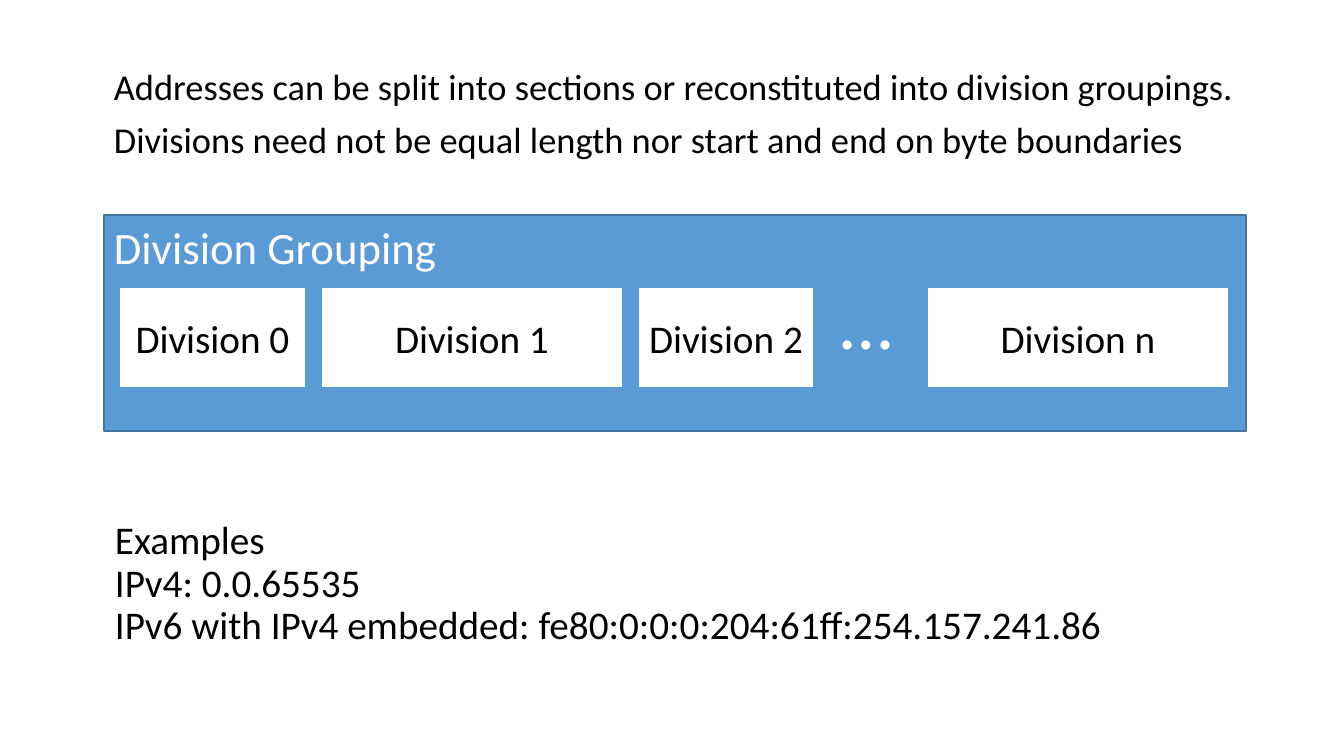
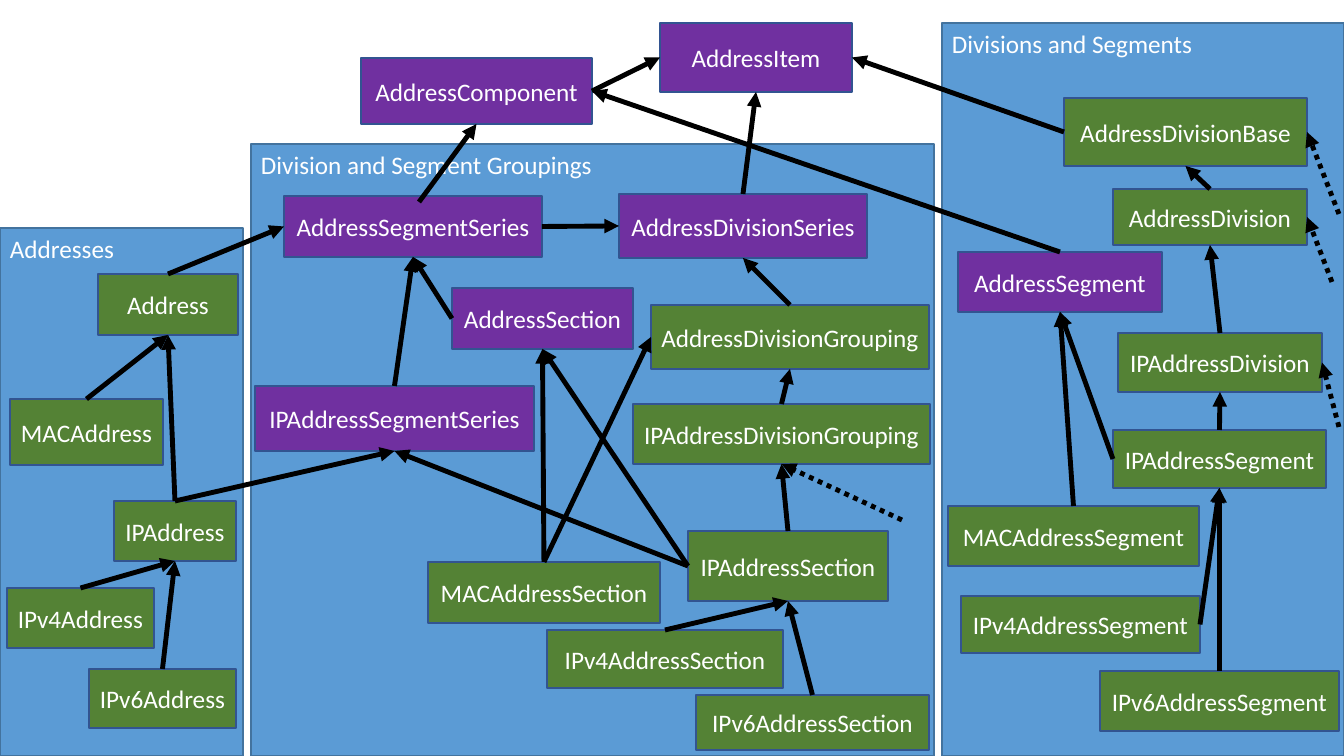
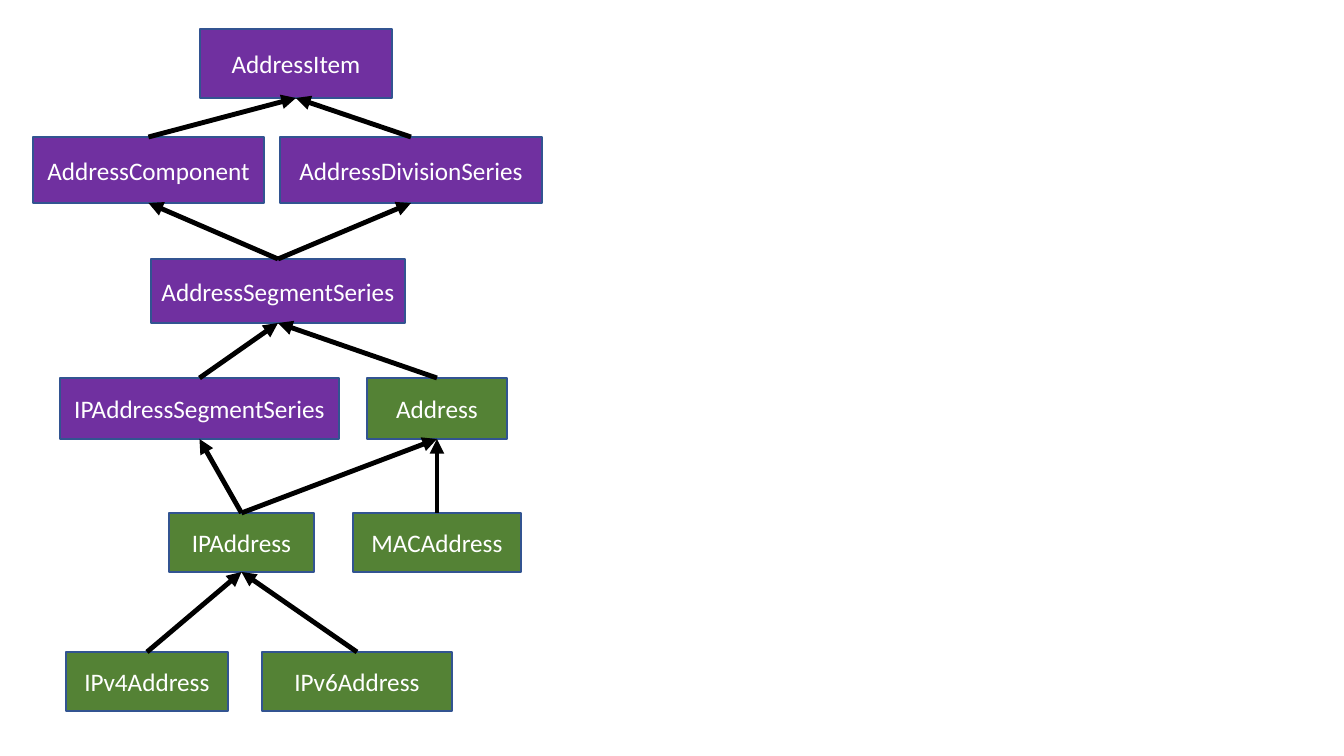
from lxml import etree
from pptx import Presentation
from pptx import util as u
from pptx.dml.color import RGBColor
from pptx.enum import dml, shapes, text
from pptx.oxml import ns

PX = 914400 / 100.8
FONT = "Calibri"
WHITE = RGBColor(0xFF, 0xFF, 0xFF)
BLACK = RGBColor(0x00, 0x00, 0x00)
BLUE = RGBColor(0x5B, 0x9B, 0xD5)
STEEL = RGBColor(0x43, 0x73, 0x9E)
NAVY = RGBColor(0x32, 0x54, 0x91)
PURPLE = RGBColor(0x70, 0x30, 0xA0)
GREEN = RGBColor(0x54, 0x82, 0x35)

LEFT, CENTER = text.PP_ALIGN.LEFT, text.PP_ALIGN.CENTER
TOP, MIDDLE = text.MSO_ANCHOR.TOP, text.MSO_ANCHOR.MIDDLE
SIDES = "tlbr"
FACES = {"AddressItem", "AddressComponent", "AddressSegment", "AddressSection",
         "AddressDivisionSeries", "AddressSegmentSeries", "IPAddressSegmentSeries"}


def px(*vals):
    """Turn pixels into EMU."""
    return [u.Emu(round(val * PX)) for val in vals]


def say(shape, words, size=18, ink=WHITE, align=LEFT, anchor=TOP,
        pad=0, lead=None, before=None, wrap=True, more=False):
    """Write one paragraph into a shape, or add it after the others."""
    frame = shape.text_frame
    frame.word_wrap = wrap
    frame.vertical_anchor = anchor
    para = frame.add_paragraph() if more else frame.paragraphs[0]
    para.text = words
    para.alignment = align
    para.line_spacing = lead
    para.space_before = before
    if pad:
        para._p.get_or_add_pPr().set("marL", str(px(pad)[0]))
    for run in para.runs:
        run.font.name = FONT
        run.font.size = u.Pt(size)
        run.font.color.rgb = ink


def block(slide, box, fill, edge):
    """Add a filled rectangle with a thin edge."""
    shape = slide.shapes.add_shape(shapes.MSO_SHAPE.RECTANGLE, *px(*box))
    shape.shadow.inherit = False
    shape.fill.solid()
    shape.fill.fore_color.rgb = fill
    shape.line.color.rgb = edge
    shape.line.width = u.Pt(1)
    return shape


def panel(slide, box, title, size=18):
    """Add a blue panel with its title at the top left."""
    shape = block(slide, box, BLUE, STEEL)
    say(shape, title, size)
    return shape


def place(slide, box, nodes):
    """Add class boxes relative to a region and return them by name."""
    made = {}
    for name, (left, top, wide, high) in nodes.items():
        fill = PURPLE if name in FACES else GREEN
        made[name] = block(slide, (box[0] + left, box[1] + top, wide, high), fill, NAVY)
        say(made[name], name, align=CENTER, anchor=MIDDLE, wrap=False)
    return made


def arrow(slide, made, start, end, sides="tb", dots=False):
    """Join two class boxes, or a point and a box, with an arrow."""
    free = isinstance(start, tuple)
    spot = px(*start) if free else px(0, 0)
    line = slide.shapes.add_connector(shapes.MSO_CONNECTOR.STRAIGHT, *spot, *spot)
    if not free:
        line.begin_connect(made[start], SIDES.index(sides[0]))
    line.end_connect(made[end], SIDES.index(sides[-1]))
    line.line.color.rgb = BLACK
    line.line.width = u.Pt(3.5)
    if dots:
        line.line.dash_style = dml.MSO_LINE.ROUND_DOT
    etree.SubElement(line.line._get_or_add_ln(), ns.qn("a:tailEnd"), type="triangle")
    etree.SubElement(line._element.spPr, ns.qn("a:effectLst"))


def group(slide, box):
    """Draw the division grouping with its row of divisions."""
    frame = panel(slide, box, "Division Grouping", 32)
    say(frame, "…", 54, align=CENTER, pad=384, more=True)
    left, gap = box[0] + 15, 15
    for name, wide in (("Division 0", 187), ("Division 1", 302),
                       ("Division 2", 176), (None, 83), ("Division n", 302)):
        if name:
            cell = block(slide, (left, box[1] + 72, wide, 101), WHITE, BLUE)
            say(cell, name, 28, BLACK, CENTER, MIDDLE)
        left += wide + gap


def split(slide):
    """Build the slide on division groupings."""
    intro = slide.shapes.add_textbox(*px(104, 64, 1159, 109))
    for row, words in enumerate((
            "Addresses can be split into sections or reconstituted into division groupings.",
            "Divisions need not be equal length nor start and end on byte boundaries")):
        say(intro, words, 26, BLACK, lead=0.9, before=u.Pt(10), more=row > 0)
    group(slide, (104, 215, 1142, 216))
    cases = slide.shapes.add_textbox(*px(105, 512, 1159, 145))
    say(cases, "Examples\nIPv4: 0.0.65535\n"
        "IPv6 with IPv4 embedded: fe80:0:0:0:204:61ff:254.157.241.86",
        28, BLACK, anchor=MIDDLE, lead=0.9)


REGIONS = (
    ("Divisions and Segments", (942, 23, 402, 733), {
        "AddressDivisionBase": (122, 75, 243, 68),
        "AddressDivision": (171, 166, 194, 56),
        "AddressSegment": (16, 229, 204, 60),
        "IPAddressDivision": (176, 310, 204, 59),
        "IPAddressSegment": (171, 407, 213, 58),
        "MACAddressSegment": (6, 483, 251, 60),
        "IPv4AddressSegment": (19, 573, 239, 57),
        "IPv6AddressSegment": (158, 648, 239, 60)}),
    ("Addresses", (0, 228, 243, 528), {
        "Address": (98, 46, 140, 61),
        "MACAddress": (10, 171, 153, 66),
        "IPAddress": (114, 273, 122, 60),
        "IPv4Address": (7, 360, 147, 60),
        "IPv6Address": (89, 441, 147, 59)}),
    ("Division and Segment Groupings", (251, 144, 683, 612), {
        "AddressSegmentSeries": (33, 52, 258, 61),
        "AddressDivisionSeries": (368, 50, 248, 64),
        "AddressSection": (201, 144, 181, 61),
        "AddressDivisionGrouping": (400, 161, 278, 64),
        "IPAddressSegmentSeries": (4, 242, 279, 65),
        "IPAddressDivisionGrouping": (382, 260, 297, 60),
        "IPAddressSection": (437, 387, 200, 70),
        "MACAddressSection": (177, 418, 232, 61),
        "IPv4AddressSection": (296, 486, 236, 58),
        "IPv6AddressSection": (445, 551, 233, 55)}),
)
ROOTS = {"AddressItem": (299, 0, 192, 69), "AddressComponent": (0, 35, 231, 66)}
LINKS = (
    ("AddressComponent", "AddressItem", "rl"),
    ("AddressDivisionBase", "AddressItem", "lr"),
    ("AddressDivisionSeries", "AddressItem"),
    ("AddressSegment", "AddressComponent", "tr"),
    ((419, 202), "AddressComponent"),
    ("AddressDivision", "AddressDivisionBase"),
    ("IPAddressDivision", "AddressDivision"),
    ("IPAddressSegment", "IPAddressDivision"),
    ("IPAddressSegment", "AddressSegment", "lb"),
    ("MACAddressSegment", "AddressSegment"),
    ("IPv4AddressSegment", "IPAddressSegment", "rb"),
    ("IPv6AddressSegment", "IPAddressSegment"),
    ("Address", "AddressSegmentSeries", "tl"),
    ("MACAddress", "Address"),
    ("IPAddress", "Address"),
    ("IPAddress", "IPAddressSegmentSeries"),
    ("IPv4Address", "IPAddress"),
    ("IPv6Address", "IPAddress"),
    ("AddressSegmentSeries", "AddressDivisionSeries", "rl"),
    ("AddressSection", "AddressSegmentSeries", "lb"),
    ("IPAddressSegmentSeries", "AddressSegmentSeries"),
    ("AddressDivisionGrouping", "AddressDivisionSeries"),
    ("IPAddressDivisionGrouping", "AddressDivisionGrouping"),
    ("IPAddressSection", "IPAddressDivisionGrouping"),
    ("IPAddressSection", "AddressSection", "lb"),
    ("IPAddressSection", "IPAddressSegmentSeries", "lb"),
    ("MACAddressSection", "AddressSection"),
    ("MACAddressSection", "AddressDivisionGrouping", "tl"),
    ("IPv4AddressSection", "IPAddressSection"),
    ("IPv6AddressSection", "IPAddressSection"),
    ((1339, 214), "AddressDivisionBase", "r", True),
    ((1332, 282), "AddressDivision", "r", True),
    ((1339, 427), "IPAddressDivision", "r", True),
    ((902, 520), "IPAddressDivisionGrouping", "b", True),
)

TREE = {
    "AddressItem": (167, 0, 192, 69),
    "AddressComponent": (0, 108, 231, 66),
    "AddressDivisionSeries": (247, 108, 262, 66),
    "AddressSegmentSeries": (118, 230, 254, 64),
    "IPAddressSegmentSeries": (27, 349, 279, 61),
    "Address": (334, 349, 140, 61),
    "IPAddress": (136, 484, 145, 59),
    "MACAddress": (320, 484, 168, 59),
    "IPv4Address": (33, 623, 162, 59),
    "IPv6Address": (229, 623, 190, 59),
}
BRANCHES = (
    ("AddressComponent", "AddressItem"),
    ("AddressDivisionSeries", "AddressItem"),
    ("AddressSegmentSeries", "AddressComponent"),
    ("AddressSegmentSeries", "AddressDivisionSeries"),
    ("IPAddressSegmentSeries", "AddressSegmentSeries"),
    ("Address", "AddressSegmentSeries"),
    ("IPAddress", "IPAddressSegmentSeries"),
    ("IPAddress", "Address"),
    ("MACAddress", "Address"),
    ("IPv4Address", "IPAddress"),
    ("IPv6Address", "IPAddress"),
)


def classes(slide):
    """Build the slide with all classes in their regions."""
    made = {}
    for title, box, nodes in REGIONS:
        panel(slide, box, title)
        made.update(place(slide, box, nodes))
    made.update(place(slide, (361, 23), ROOTS))
    for link in LINKS:
        arrow(slide, made, *link)


def tree(slide):
    """Build the slide with the address tree."""
    made = place(slide, (33, 29), TREE)
    for link in BRANCHES:
        arrow(slide, made, *link)


deck = Presentation()
deck.slide_width, deck.slide_height = px(1344, 756)
for build in (split, classes, tree):
    build(deck.slides.add_slide(deck.slide_layouts[6]))
deck.save("out.pptx")
